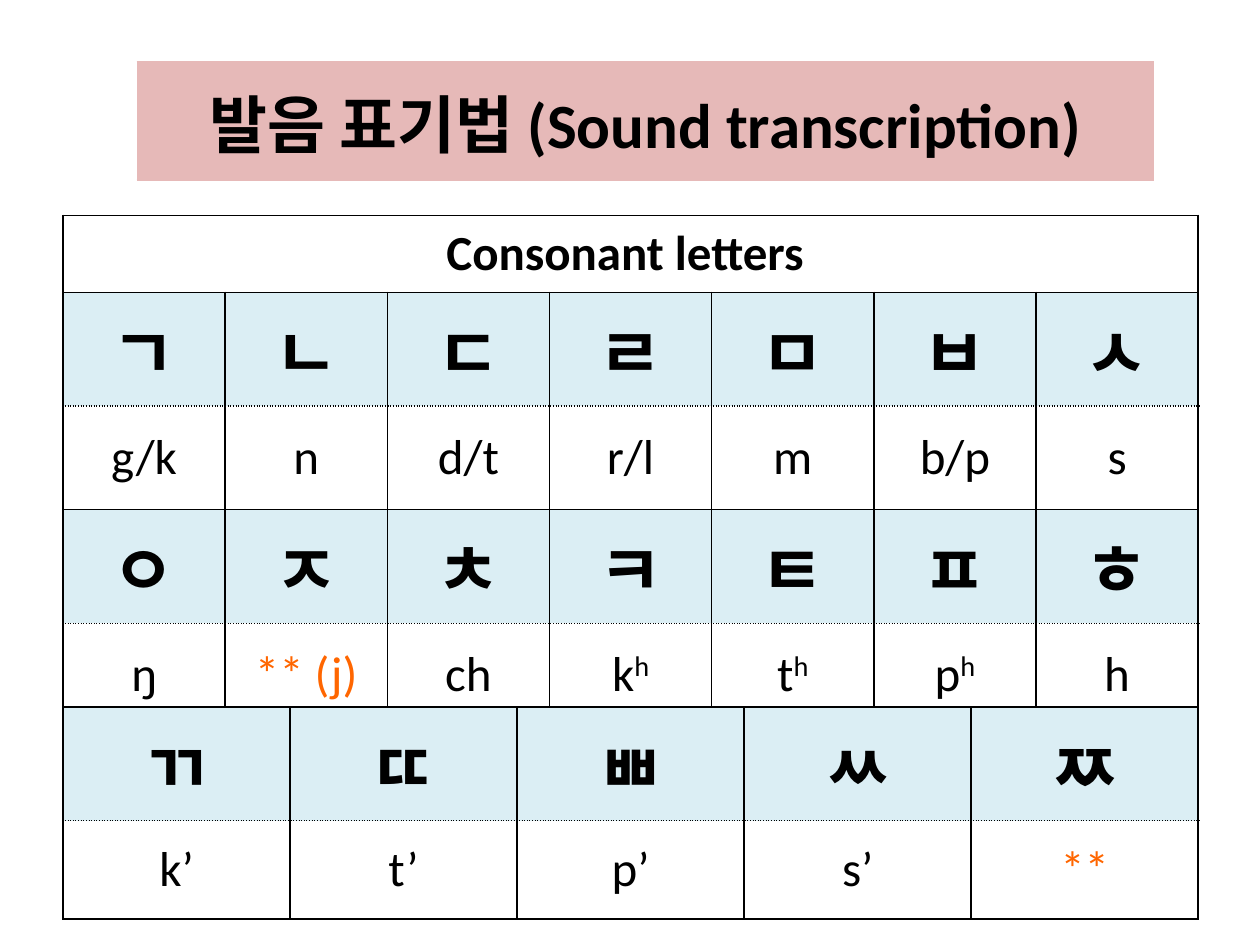
from lxml import etree
from pptx import Presentation
from pptx.dml.color import RGBColor
from pptx.enum import text
from pptx.oxml import ns
from pptx.util import Inches, Pt

BLACK = RGBColor(0x00, 0x00, 0x00)
ORANGE = RGBColor(0xFF, 0x66, 0x00)
PINK = RGBColor(0xE6, 0xB9, 0xB8)
PALE_BLUE = RGBColor(0xDB, 0xEE, 0xF4)

KOREAN = "Noto Sans CJK KR"
LATIN = "Calibri"
TITLE_KOREAN = {"name": KOREAN, "size": Pt(36), "bold": True}
TITLE_LATIN = {**TITLE_KOREAN, "name": LATIN}
HEADING = {"name": LATIN, "size": Pt(28), "bold": True}
LETTER = {"name": KOREAN, "size": Pt(40), "bold": True}
SOUND = {"name": LATIN, "size": Pt(28), "bold": False}

BASIC_ROWS = [
    ("ㄱㄴㄷㄹㅁㅂㅅ", ["g/k", "n", "d/t", "r/l", "m", "b/p", "s"]),
    ("ㅇㅈㅊㅋㅌㅍㅎ", ["ŋ", "** (j)", "ch", "k^h", "t^h", "p^h", "h"]),
]
DOUBLE_ROWS = [("ㄲㄸㅃㅆㅉ", ["k’", "t’", "p’", "s’", "**"])]


def add_span(para, wording, style, color=BLACK, raised=False):
    span = para.add_run()
    span.text = wording
    for name, value in style.items():
        setattr(span.font, name, value)
    span.font.color.rgb = color
    properties = span.font._element
    east_asian = etree.SubElement(properties, ns.qn("a:ea"))
    east_asian.set("typeface", style["name"])
    if raised:
        properties.set("baseline", "30000")


def set_borders(cell, color=BLACK, dotted=""):
    properties = cell._tc.get_or_add_tcPr()
    for side in "LRTB":
        line = etree.SubElement(properties, ns.qn(f"a:ln{side}"), w=str(Pt(1)))
        fill = etree.SubElement(line, ns.qn("a:solidFill"))
        etree.SubElement(fill, ns.qn("a:srgbClr"), val=str(color))
        dash = "sysDot" if side in dotted else "solid"
        etree.SubElement(line, ns.qn("a:prstDash"), val=dash)


def format_cell(cell, fill=None, border=BLACK, dotted=""):
    set_borders(cell, border, dotted)
    if fill is None:
        cell.fill.background()
    else:
        cell.fill.solid()
        cell.fill.fore_color.rgb = fill
    cell.vertical_anchor = text.MSO_ANCHOR.MIDDLE
    para = cell.text_frame.paragraphs[0]
    para.alignment = text.PP_ALIGN.CENTER
    return para


def add_grid(page, box, heights, columns):
    left, top, width = (Inches(length) for length in box)
    frame = page.shapes.add_table(
        len(heights), columns, left, top, width, Inches(sum(heights)))
    table = frame.table
    table.first_row = table.horz_banding = False
    for row, height in zip(table.rows, heights):
        row.height = Inches(height)
    return table


def add_title(page, box):
    table = add_grid(page, box, [0.94], 1)
    para = format_cell(table.cell(0, 0), PINK, PINK)
    add_span(para, "발음 표기법 ", TITLE_KOREAN)
    add_span(para, "(Sound transcription)", TITLE_LATIN)


def add_letters(page, box, row_height, pairs, heading=None):
    columns = len(pairs[0][0])
    heading_heights = [0.61] if heading else []
    heights = heading_heights + [row_height] * (2 * len(pairs))
    table = add_grid(page, box, heights, columns)
    if heading:
        table.cell(0, 0).merge(table.cell(0, columns - 1))
        paras = [format_cell(cell) for cell in table.rows[0].cells]
        add_span(paras[0], heading, HEADING)
    for index, (letters, sounds) in enumerate(pairs):
        row = len(heading_heights) + 2 * index
        for column, (letter, sound) in enumerate(zip(letters, sounds)):
            para = format_cell(table.cell(row, column), PALE_BLUE, dotted="B")
            add_span(para, letter, LETTER)
            para = format_cell(table.cell(row + 1, column), dotted="T")
            color = ORANGE if sound.startswith("**") else BLACK
            base, _, aspiration = sound.partition("^")
            add_span(para, base, SOUND, color)
            if aspiration:
                add_span(para, aspiration, SOUND, color, raised=True)


def main():
    deck = Presentation()
    deck.slide_width, deck.slide_height = Inches(10), Inches(7.5)
    page = deck.slides.add_slide(deck.slide_layouts[6])
    add_title(page, (1.09, 0.49, 8.06))
    add_letters(page, (0.5, 1.71, 9.01), 0.82, BASIC_ROWS, "Consonant letters ")
    add_letters(page, (0.5, 5.61, 9.01), 0.78, DOUBLE_ROWS)
    deck.save("out.pptx")


if __name__ == "__main__":
    main()
